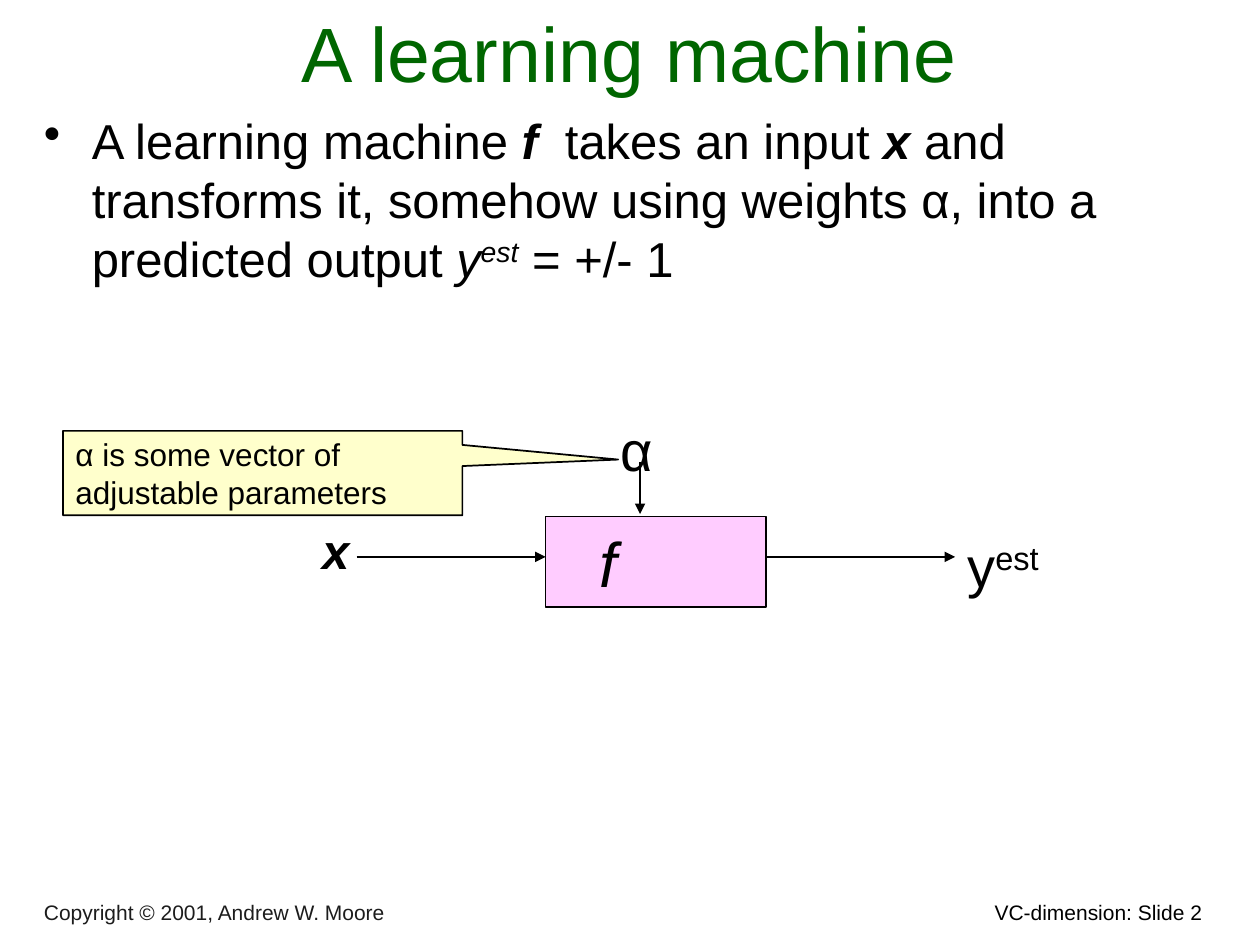
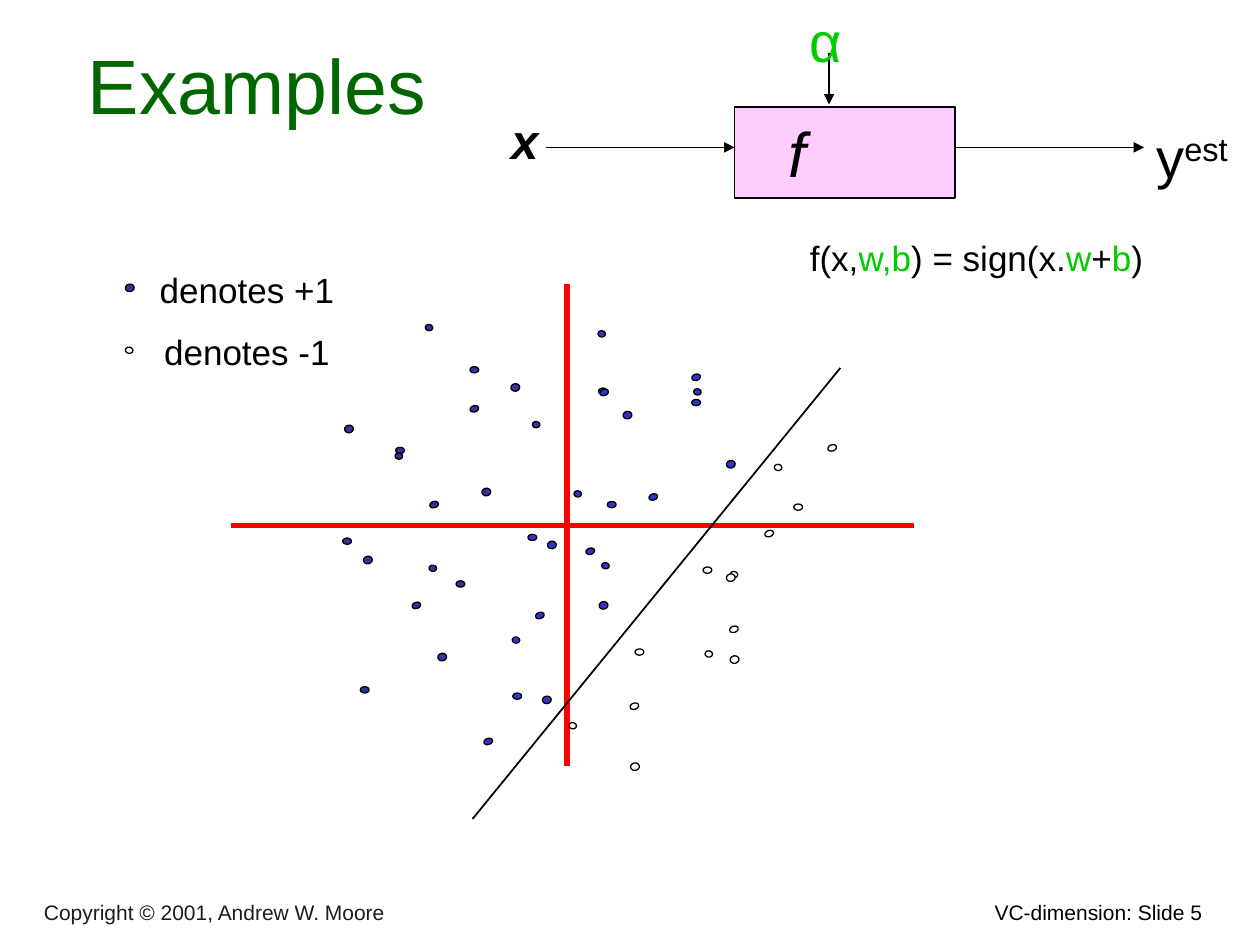
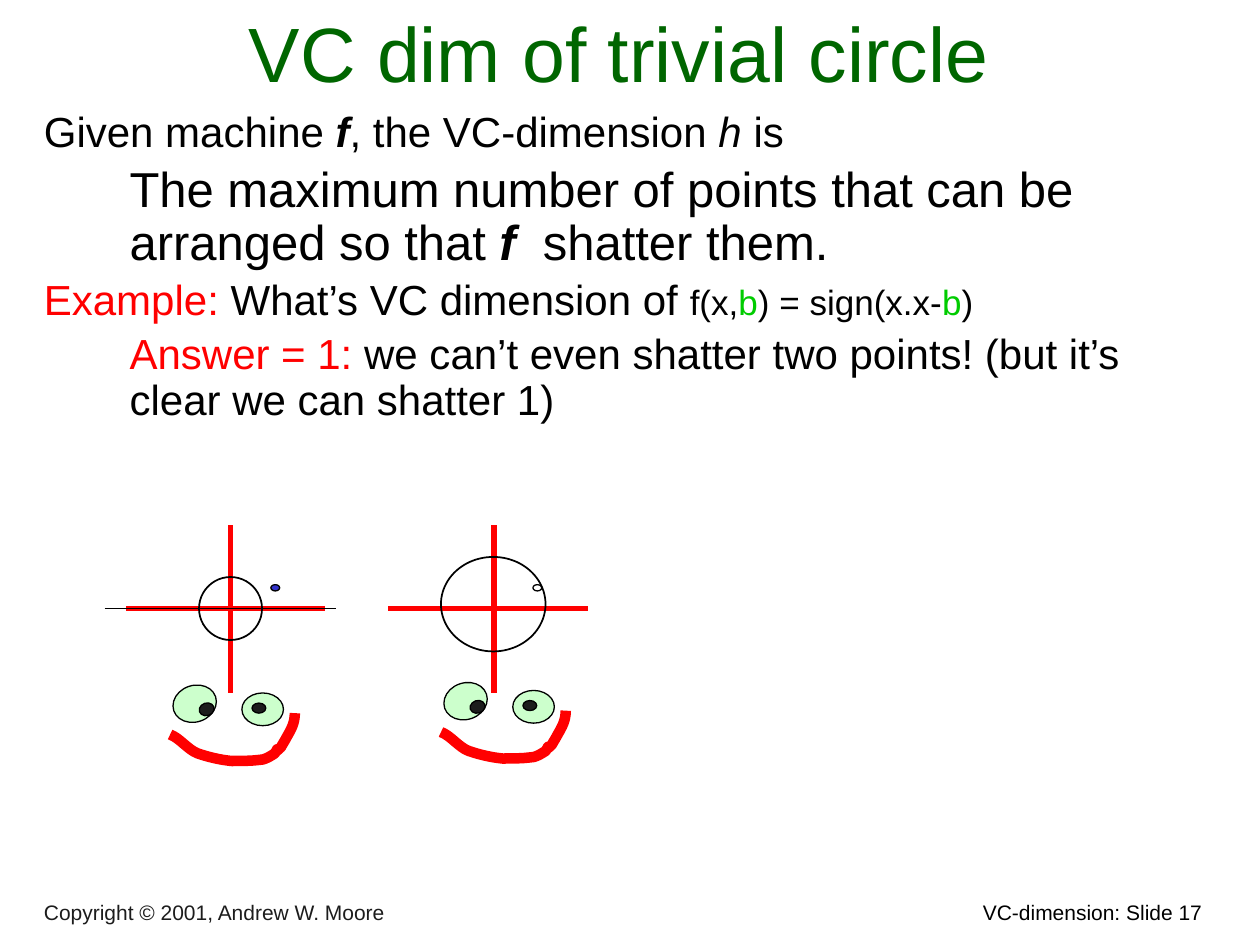
from dataclasses import dataclass, field

from lxml.etree import SubElement
from pptx import Presentation
from pptx.dml.color import RGBColor
from pptx.enum.shapes import MSO_CONNECTOR, MSO_SHAPE
from pptx.enum.text import MSO_ANCHOR, PP_ALIGN
from pptx.oxml.ns import qn
from pptx.util import Emu, Inches, Pt

# Every length below counts cells of a 1000 x 750 grid over the slide.
COLS, ROWS = 1000, 750
CELL = Inches(10) // COLS

FONT = "Arial"
BLACK = RGBColor(0x00, 0x00, 0x00)
CHARCOAL = RGBColor(0x1C, 0x1C, 0x1C)
WHITE = RGBColor(0xFF, 0xFF, 0xFF)
DARK_GREEN = RGBColor(0x00, 0x66, 0x00)
GREEN = RGBColor(0x00, 0xCC, 0x00)
RED = RGBColor(0xFF, 0x00, 0x00)
PINK = RGBColor(0xFF, 0xCC, 0xFF)
CREAM = RGBColor(0xFF, 0xFF, 0xCC)
MINT = RGBColor(0xCC, 0xFF, 0xCC)
NAVY = RGBColor(0x33, 0x33, 0x99)
BLUE = RGBColor(0x33, 0x33, 0xCC)

HAIR, THIN, AXIS, SMILE_WIDTH = 0.75, 1, 3, 6
LEFT_TILT, UP_TILT, DOWN_TILT = 341.4, 79.6, 98.3
DOT_SIZE = {0: (7, 5), LEFT_TILT: (7, 5), DOWN_TILT: (5, 6), UP_TILT: (6, 7)}

TITLE_BOX = (25, 8, 933, 75)
SHIFTED_TITLE_BOX = (33, 8, 933, 75)


@dataclass
class Run:
    text: str
    size: float | None = None
    color: RGBColor | None = None
    bold: bool = False
    italic: bool = False
    raised: bool = False


@dataclass
class Para:
    runs: list[Run]
    level: int = 0
    left: int = 0
    hang: int = 0
    before: float = 0
    spacing: float | None = None
    bullet: str = ""


@dataclass
class DotGroup:
    fill: RGBColor
    tilt: float
    spots: list[tuple[int, int]] = field(default_factory=list)


DOTS = [
    DotGroup(NAVY, 0, [(362, 461), (272, 427), (373, 291), (286, 545), (314, 355)]),
    DotGroup(BLUE, 0, [(419, 424), (407, 550), (475, 308), (482, 398), (549, 317)]),
    DotGroup(WHITE, 0, [(630, 400), (504, 515), (558, 450)]),
    DotGroup(NAVY, LEFT_TILT, [(327, 478), (373, 322), (341, 398)]),
    DotGroup(BLUE, LEFT_TILT, [(425, 486), (465, 435), (476, 309), (515, 392),
                               (384, 586), (549, 297)]),
    DotGroup(WHITE, LEFT_TILT, [(657, 353), (500, 558), (579, 497), (607, 421)]),
    DotGroup(NAVY, DOWN_TILT, [(423, 334), (314, 359), (341, 448), (338, 257)]),
    DotGroup(BLUE, DOWN_TILT, [(456, 389), (475, 262), (478, 446), (551, 308),
                               (407, 505)]),
    DotGroup(WHITE, DOWN_TILT, [(452, 573), (580, 453), (615, 368), (560, 516),
                                (100, 275)]),
    DotGroup(NAVY, UP_TILT, [(383, 387), (289, 441), (348, 518), (406, 304),
                             (274, 337), (100, 225)]),
    DotGroup(BLUE, UP_TILT, [(435, 429), (476, 477), (577, 365), (495, 326),
                             (431, 552)]),
    DotGroup(WHITE, UP_TILT, [(501, 605), (577, 455), (580, 520)]),
]

# Start of the smile, then two control points and an end point per curve.
SMILE_START = (135, 583)
SMILE_CURVES = [
    ((143, 586), (149, 595), (157, 598)),
    ((166, 601), (174, 603), (184, 604)),
    ((192, 604), (199, 604), (207, 603)),
    ((211, 603), (218, 598), (218, 598)),
    ((224, 589), (215, 601), (223, 593)),
    ((224, 591), (226, 588), (227, 586)),
    ((231, 579), (234, 574), (234, 566)),
]


def cells(*counts):
    return [Emu(round(n * CELL)) for n in counts]


def write(tf, content, *, size, color=BLACK, align=PP_ALIGN.LEFT,
          anchor=MSO_ANCHOR.TOP, inset=10):
    """Fill a text frame from a string, a list of runs or a list of paragraphs."""
    if isinstance(content, str):
        content = [Run(content)]
    if isinstance(content[0], Run):
        content = [Para(content)]
    tf.word_wrap = True
    tf.vertical_anchor = anchor
    tf.margin_left = cells(inset)[0]
    for i, para in enumerate(content):
        p = tf.add_paragraph() if i else tf.paragraphs[0]
        p.alignment = align
        p.level = para.level
        p.space_before = Pt(para.before)
        if para.spacing:
            p.line_spacing = para.spacing
        pPr = p._p.get_or_add_pPr()
        left, hang = cells(para.left, para.hang)
        pPr.set("marL", str(left))
        pPr.set("indent", str(-hang))
        if para.bullet:
            SubElement(pPr, qn("a:buChar")).set("char", para.bullet)
        for run in para.runs:
            r = p.add_run()
            r.text = run.text
            r.font.name = FONT
            r.font.size = Pt(run.size or size)
            r.font.color.rgb = run.color or color
            r.font.bold, r.font.italic = run.bold, run.italic
            if run.raised:
                r._r.get_or_add_rPr().set("baseline", "30000")


def add_text(s, box, content, **style):
    write(s.shapes.add_textbox(*cells(*box)).text_frame, content, **style)


def paint(sp, fill, line, width):
    sp.shadow.inherit = False
    if fill is None:
        sp.fill.background()
    else:
        sp.fill.solid()
        sp.fill.fore_color.rgb = fill
    sp.line.color.rgb = line
    sp.line.width = Pt(width)


def add_shape(s, kind, box, fill=None, width=THIN, tilt=0.0):
    sp = s.shapes.add_shape(kind, *cells(*box))
    sp.rotation = tilt
    paint(sp, fill, BLACK, width)
    return sp


def add_line(s, start, end, color=BLACK, width=THIN, arrow=False):
    c = s.shapes.add_connector(MSO_CONNECTOR.STRAIGHT, *cells(*start, *end))
    c.line.color.rgb = color
    c.line.width = Pt(width)
    spPr = c.element.spPr
    if arrow:
        SubElement(spPr.find(qn("a:ln")), qn("a:tailEnd")).set("type", "triangle")
    SubElement(spPr, qn("a:effectLst"))


def add_axes(s, center, x_range, y_range):
    x, y = center
    add_line(s, (x, y_range[0]), (x, y_range[1]), RED, AXIS)
    add_line(s, (x_range[0], y), (x_range[1], y), RED, AXIS)


def add_dot(s, spot, fill, tilt=0.0):
    add_shape(s, MSO_SHAPE.OVAL, (*spot, *DOT_SIZE[tilt]), fill, HAIR, tilt)


def add_machine(s, left, top, alpha_color=BLACK):
    """Draw the box f with its input x, weights α and output y; left, top is the box."""
    width, height, reach = 175, 72, 150
    wire, middle = top + 32, left + 75
    right = left + width
    box = add_shape(s, MSO_SHAPE.RECTANGLE, (left, top, width, height), PINK)
    write(box.text_frame, [Run("f", italic=True)], size=36,
          anchor=MSO_ANCHOR.MIDDLE, inset=43)
    add_line(s, (left - reach, wire), (left, wire), arrow=True)
    add_text(s, (left - 200, top - 2, 67, 57), [Run("x", bold=True, italic=True)],
             size=28, align=PP_ALIGN.CENTER)
    add_line(s, (middle, top - 43), (middle, top - 2), arrow=True)
    add_text(s, (middle - 25, top - 85, 42, 63), "α", size=32, color=alpha_color,
             align=PP_ALIGN.CENTER)
    add_line(s, (right, wire), (right + reach, wire), arrow=True)
    add_text(s, (right + reach, top + 7, 92, 63), [Run("y"), Run("est", raised=True)],
             size=32)


def bezier(p0, p1, p2, p3, steps=8):
    for i in range(1, steps + 1):
        t = i / steps
        u = 1 - t
        yield tuple(u**3 * a + 3 * u * u * t * b + 3 * u * t * t * c + t**3 * d
                    for a, b, c, d in zip(p0, p1, p2, p3))


def add_face(s, dx=0, dy=0):
    points, last = [], SMILE_START
    for curve in SMILE_CURVES:
        points += bezier(last, *curve)
        last = curve[-1]
    smile = s.shapes.build_freeform(*cells(SMILE_START[0] + dx, SMILE_START[1] + dy))
    smile.add_line_segments([cells(x + dx, y + dy) for x, y in points], close=False)
    paint(smile.convert_to_shape(), None, RED, SMILE_WIDTH)
    for (x, y, w, h), fill, tilt in (
        ((192, 550, 33, 26), MINT, 0),
        ((137, 544, 35, 29), MINT, LEFT_TILT),
        ((200, 558, 11, 8), CHARCOAL, 0),
        ((158, 558, 12, 10), CHARCOAL, LEFT_TILT),
    ):
        add_shape(s, MSO_SHAPE.OVAL, (x + dx, y + dy, w, h), fill, HAIR, tilt)


def new_slide(prs, number, title, title_box):
    """Add a slide with the footers and the title."""
    s = prs.slides.add_slide(prs.slide_layouts[6])
    add_text(s, (572, 709, 392, 30), f"VC-dimension: Slide {number}", size=12,
             align=PP_ALIGN.RIGHT)
    add_text(s, (25, 711, 555, 28), "Copyright © 2001, Andrew W. Moore", size=12,
             color=CHARCOAL, anchor=MSO_ANCHOR.BOTTOM)
    add_text(s, title_box, title, size=44, color=DARK_GREEN,
             align=PP_ALIGN.CENTER, anchor=MSO_ANCHOR.BOTTOM)
    return s


def build_learning_machine(prs):
    s = new_slide(prs, 2, "A learning machine", SHIFTED_TITLE_BOX)
    add_text(s, (25, 83, 938, 196), [Para([
        Run("A learning machine "),
        Run("f", bold=True, italic=True),
        Run("  takes an input "),
        Run("x", bold=True, italic=True),
        Run(" and transforms it, somehow using weights α, into a predicted output "),
        Run("y", italic=True),
        Run("est", italic=True, raised=True),
        Run(" = +/- 1"),
    ], left=38, hang=38, bullet="•")], size=28)
    add_machine(s, 433, 410)
    callout = add_shape(s, MSO_SHAPE.RECTANGULAR_CALLOUT, (50, 342, 317, 67), CREAM)
    callout.adjustments[0], callout.adjustments[1] = 0.89, -0.16
    write(callout.text_frame, "α is some vector of adjustable parameters", size=18,
          anchor=MSO_ANCHOR.MIDDLE)


def build_examples(prs):
    s = new_slide(prs, 5, "Examples", (25, 33, 358, 75))
    add_machine(s, 583, 85, GREEN)
    add_axes(s, (450, 417), (183, 725), (225, 608))
    for group in DOTS:
        for spot in group.spots:
            add_dot(s, spot, group.fill, group.tilt)
    add_text(s, (600, 183, 350, 43), [
        Run("f(x,"), Run("w,b", color=GREEN), Run(") = sign(x."),
        Run("w", color=GREEN), Run("+"), Run("b", color=GREEN), Run(")"),
    ], size=20, align=PP_ALIGN.CENTER)
    add_text(s, (92, 208, 208, 93), [
        Para([Run("denotes +1")]), Para([Run("denotes -1")], before=11.5),
    ], size=20, align=PP_ALIGN.CENTER)
    add_line(s, (375, 650), (667, 292))


def build_trivial_circle(prs):
    s = new_slide(prs, 17, "VC dim of trivial circle", TITLE_BOX)
    outer = dict(left=38, hang=38, spacing=0.9)
    inner = dict(level=1, left=68, spacing=0.9, before=5)
    add_text(s, (25, 83, 938, 300), [
        Para([Run("Given machine "), Run("f", bold=True, italic=True),
              Run(", the VC-dimension "), Run("h", italic=True), Run(" is")], **outer),
        Para([Run("The maximum number of points that can be arranged so that ", 28),
              Run("f", 28, bold=True, italic=True),
              Run("  shatter them.", 28)], **inner),
        Para([Run("Example: ", color=RED), Run("What’s VC dimension of "),
              Run("f(x,", 20), Run("b", 20, GREEN), Run(") = sign(x.x-", 20),
              Run("b", 20, GREEN), Run(")", 20)], before=5, **outer),
        Para([Run("Answer = 1: ", color=RED),
              Run("we can’t even shatter two points! "
                  "(but it’s clear we can shatter 1)")], **inner),
    ], size=24)
    add_axes(s, (392, 483), (308, 467), (417, 550))
    add_dot(s, (423, 464), WHITE)
    add_axes(s, (183, 483), (100, 258), (417, 550))
    add_dot(s, (215, 464), BLUE)
    add_line(s, (83, 483), (267, 483))
    add_shape(s, MSO_SHAPE.OVAL, (158, 458, 50, 50))
    add_shape(s, MSO_SHAPE.OVAL, (350, 442, 83, 75))
    add_face(s)
    add_face(s, dx=215, dy=-2)


def main():
    prs = Presentation()
    prs.slide_width, prs.slide_height = cells(COLS, ROWS)
    build_learning_machine(prs)
    build_examples(prs)
    build_trivial_circle(prs)
    prs.save("out.pptx")


if __name__ == "__main__":
    main()
